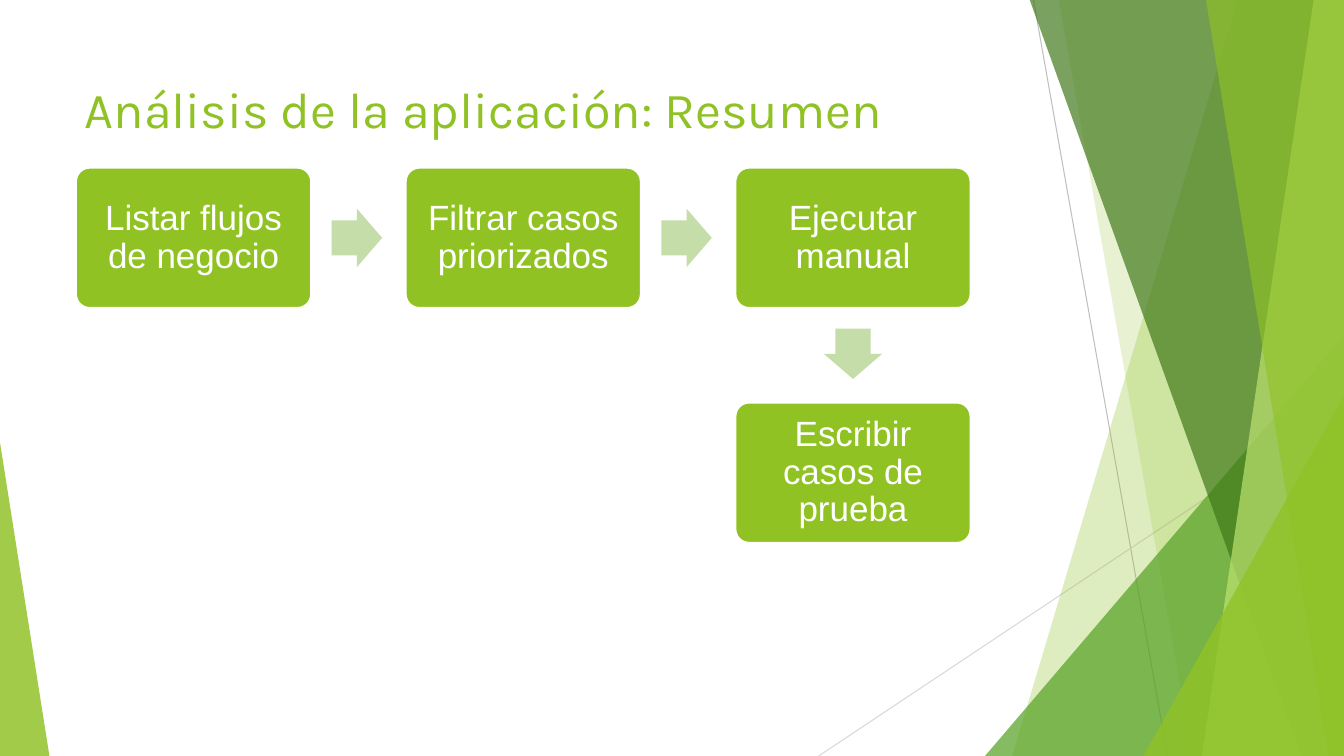
from pptx import Presentation
from pptx.dml.color import RGBColor
from pptx.enum.shapes import MSO_CONNECTOR as Link, MSO_SHAPE as Kind
from pptx.enum.text import MSO_ANCHOR as Anchor, PP_ALIGN as Align
from pptx.oxml.ns import qn
from pptx.util import Inches, Pt
from lxml.etree import SubElement

# Content
TITLE = "Análisis de la aplicación: Resumen"
STEPS = [  # text, column, row
    ("Listar flujos de negocio", 0, 0),
    ("Filtrar casos priorizados", 1, 0),
    ("Ejecutar manual", 2, 0),
    ("Escribir casos de prueba", 2, 1),
]
LIME, LEAF, PALE, WHITE = "90C226", "90C223", "C5DDA8", "FFFFFF"

# Backdrop
RAYS = [  # from, to, colour
    ((10.25, 0), (11.58, 7.5), "BFBFBF"),
    ((13.33, 4.03), (8.12, 7.5), "D8D8D8"),
]
WIDE, TALL, TOP = 13.33, 7.5, -0.01
# Bands run down the right edge: top x, bottom x, colour, opacity %
# Peaks are triangles: left, top, width, apex, colour, opacity %
BACK = [
    ("band", 12.28, 10.04, LIME, 29),
    ("band", 10.5, 11.83, LIME, 20),
    ("peak", 9.77, 3.33, 3.56, 1, "54A021", 71),
    ("band", 10.21, 12.91, "3F7818", 69),
    ("band", 13.03, 11.92, "BFE471", 69),
    ("band", 11.96, 13.18, LIME, 64),
    ("peak", 11.34, 3.93, 1.99, 1, LIME, 80),
    ("peak", 0, 4.39, 0.49, 0, LIME, 84),
]

# Flow grid
LEFT, HEAD = 0.75, 1.66
BOX_W, BOX_H = 2.34, 1.4
STEP_X, STEP_Y = 3.27, 2.33
ARROW_W, ARROW_H = 0.5, 0.58

prs = Presentation()
prs.slide_width, prs.slide_height = Inches(WIDE), Inches(TALL)
slide = prs.slides.add_slide(prs.slide_layouts[5])
shapes = slide.shapes


def rgb(code):
    return RGBColor.from_string(code)


def paint(shape, code, alpha=100):
    shape.shadow.inherit = False
    shape.fill.solid()
    shape.fill.fore_color.rgb = rgb(code)
    shape.line.fill.background()
    if alpha < 100:
        tint = shape.fill._xPr.find(qn("a:solidFill"))[0]
        SubElement(tint, qn("a:alpha"), val=str(alpha * 1000))


def add(kind, x, y, w, h):
    return shapes.add_shape(kind, Inches(x), Inches(y), Inches(w), Inches(h))


def style(frame, size, font, code):
    for para in frame.paragraphs:
        for run in para.runs:
            run.font.size = Pt(size)
            run.font.name = font
            run.font.color.rgb = rgb(code)


def band(top_x, low_x, code, alpha):
    pen = shapes.build_freeform(Inches(top_x), Inches(TOP))
    edge = [(WIDE, TOP), (WIDE, TALL), (low_x, TALL)]
    pen.add_line_segments([(Inches(x), Inches(y)) for x, y in edge])
    paint(pen.convert_to_shape(), code, alpha)


def peak(x, y, w, apex, code, alpha):
    shape = add(Kind.ISOSCELES_TRIANGLE, x, y, w, TALL - y)
    shape.adjustments[0] = apex
    paint(shape, code, alpha)


def box(text, x, y):
    shape = add(Kind.ROUNDED_RECTANGLE, x, y, BOX_W, BOX_H)
    shape.adjustments[0] = 0.1
    paint(shape, LEAF)
    shape.line.color.rgb = rgb(WHITE)
    shape.line.width = Pt(2)
    frame = shape.text_frame
    frame.word_wrap = True
    frame.vertical_anchor = Anchor.MIDDLE
    frame.margin_left = frame.margin_right = Inches(0.12)
    frame.margin_top = frame.margin_bottom = Inches(0.12)
    frame.text = text
    para = frame.paragraphs[0]
    para.alignment = Align.CENTER
    para.line_spacing = 0.9
    style(frame, 25, "Arial", WHITE)


def arrow(mid_x, mid_y, turn):
    shape = add(Kind.RIGHT_ARROW, mid_x - ARROW_W / 2, mid_y - ARROW_H / 2,
                ARROW_W, ARROW_H)
    shape.adjustments[0], shape.adjustments[1] = 0.6, 0.5
    shape.rotation = turn
    paint(shape, PALE)


# Draw backdrop
for (x1, y1), (x2, y2), code in RAYS:
    ray = shapes.add_connector(Link.STRAIGHT, Inches(x1), Inches(y1),
                               Inches(x2), Inches(y2))
    ray.line.color.rgb = rgb(code)
    ray.line.width = Pt(0.75)
    SubElement(ray._element.spPr, qn("a:effectLst"))

draw = {"band": band, "peak": peak}
for kind, *spec_row in BACK:
    draw[kind](*spec_row)

# Title
title = shapes.title
title.left, title.top = Inches(0.74), Inches(0.67)
title.width, title.height = Inches(9.4), Inches(1.44)
frame = title.text_frame
frame.text = TITLE
frame.word_wrap = True
frame.vertical_anchor = Anchor.TOP
frame.margin_left = frame.margin_right = Inches(0.1)
frame.margin_top = frame.margin_bottom = Inches(0.1)
frame.paragraphs[0].alignment = Align.LEFT
style(frame, 36, "Karla", LIME)

# Steps, each with an arrow from the one before
for i, (text, col, row) in enumerate(STEPS):
    x, y = LEFT + col * STEP_X, HEAD + row * STEP_Y
    box(text, x, y)
    if i and row == STEPS[i - 1][2]:
        arrow(x - 0.48, y + BOX_H / 2, 0)
    elif i:
        arrow(x + BOX_W / 2, y - 0.48, 90)

prs.save("out.pptx")
